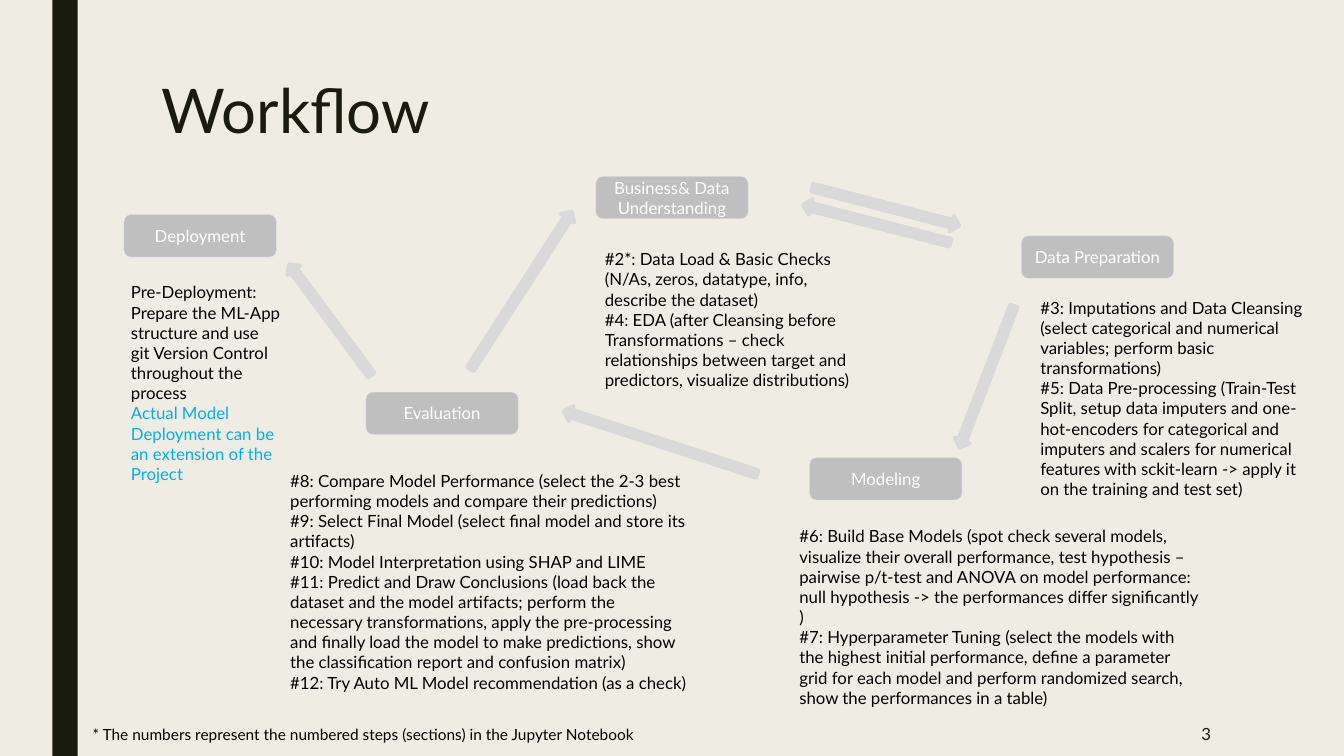
from pptx import Presentation
from pptx.dml.color import RGBColor
from pptx.enum.shapes import MSO_SHAPE
from pptx.enum.text import MSO_ANCHOR, PP_ALIGN
from pptx.util import Pt

EMU_PER_PX = 9144  # 100 px to the inch
FONT = "Lato"
CREAM = RGBColor(0xEF, 0xED, 0xE3)
DARK = RGBColor(0x19, 0x1B, 0x0E)
STAGE_GRAY = RGBColor(0xBF, 0xBF, 0xBF)
ARROW_GRAY = RGBColor(0xD9, 0xD9, 0xD9)
WHITE = RGBColor(0xFF, 0xFF, 0xFF)
BLACK = RGBColor(0, 0, 0)
BLUE = RGBColor(0x00, 0xB0, 0xF0)

TITLE = "Workflow"
STAGE_SIZE = (151, 42)
ARROW_HEIGHT = 16

# label, left, top
STAGES = [
    ("Business& Data Understanding", 591, 175),
    ("Evaluation", 363, 389),
    ("Deployment", 123, 213),
    ("Data Preparation", 1013, 234),
    ("Modeling", 803, 454),
]

# left, top, length, rotation in degrees
ARROWS = [
    (803, 197, 151, 14.5),   # understanding to preparation
    (794, 214, 151, 194.4),  # preparation back to understanding
    (903, 366, 151, 111),    # preparation to modeling
    (554, 431, 202, 198),    # modeling to evaluation
    (259, 309, 137, 233.4),  # evaluation to deployment
    (424, 280, 186, 302.8),  # evaluation to understanding
]

# (left, top, width, height), [(paragraph, colour)]
STEP_NOTES = [
    ((590, 242, 285, 151), [
        ("#2*: Data Load & Basic Checks (N/As, zeros, datatype, info, describe the dataset)", BLACK),
        ("#4: EDA (after Cleansing before Transformations – check relationships between "
         "target and predictors, visualize distributions)", BLACK),
    ]),
    ((1022, 290, 287, 232), [
        ("#3: Imputations and Data Cleansing (select categorical and numerical variables; "
         "perform basic transformations)", BLACK),
        ("#5: Data Pre-processing (Train-Test Split, setup data imputers and one-hot-encoders "
         "for categorical and imputers and scalers for numerical features with sckit-learn "
         "-> apply it on the training and test set)", BLACK),
    ]),
    ((783, 517, 416, 172), [
        ("#6: Build Base Models (spot check several models, visualize their overall "
         "performance, test hypothesis – pairwise p/t-test and ANOVA on model performance: "
         "null hypothesis -> the performances differ significantly )", BLACK),
        ("#7: Hyperparameter Tuning (select the models with the highest initial performance, "
         "define a parameter grid for each model and perform randomized search, show the "
         "performances in a table)", BLACK),
    ]),
    ((278, 462, 416, 232), [
        ("#8: Compare Model Performance (select the 2-3 best performing models and compare "
         "their predictions)", BLACK),
        ("#9: Select Final Model (select final model and store its artifacts)", BLACK),
        ("#10: Model Interpretation using SHAP and LIME", BLACK),
        ("#11: Predict and Draw Conclusions (load back the dataset and the model artifacts; "
         "perform the necessary transformations, apply the pre-processing and finally load "
         "the model to make predictions, show the classification report and confusion "
         "matrix)", BLACK),
        ("#12: Try Auto ML Model recommendation (as a check)", BLACK),
    ]),
    ((120, 275, 168, 212), [
        ("Pre-Deployment: Prepare the ML-App structure and use git Version Control "
         "throughout the process", BLACK),
        ("Actual Model Deployment can be an extension of the Project", BLUE),
    ]),
]
FOOTNOTE = "* The numbers represent the numbered steps (sections) in the Jupyter Notebook"
SLIDE_NUMBER = "3"


def px(*lengths):
    return [length * EMU_PER_PX for length in lengths]


def format_paragraph(paragraph, size, color, align=PP_ALIGN.LEFT):
    paragraph.alignment = align
    for run in paragraph.runs:
        run.font.name = FONT
        run.font.size = Pt(size)
        run.font.color.rgb = color


def add_filled_shape(slide, kind, box, fill, line=None, line_width=0):
    shape = slide.shapes.add_shape(kind, *px(*box))
    shape.shadow.inherit = False
    shape.fill.solid()
    shape.fill.fore_color.rgb = fill
    if line is None:
        shape.line.fill.background()
    else:
        shape.line.color.rgb = line
        shape.line.width = Pt(line_width)
    return shape


def add_text(slide, box, paragraphs, size=12, align=PP_ALIGN.LEFT, anchor=MSO_ANCHOR.TOP):
    text_frame = slide.shapes.add_textbox(*px(*box)).text_frame
    text_frame.word_wrap = True
    text_frame.vertical_anchor = anchor
    text_frame.text = "\n".join(text for text, _ in paragraphs)
    for paragraph, (_, color) in zip(text_frame.paragraphs, paragraphs):
        format_paragraph(paragraph, size, color, align)


def add_title(slide):
    title = slide.shapes.title
    title.left, title.top, title.width, title.height = px(150, 75, 1050, 79)
    title.text_frame.text = TITLE
    title.text_frame.vertical_anchor = MSO_ANCHOR.TOP
    paragraph = title.text_frame.paragraphs[0]
    paragraph.line_spacing = 0.89
    format_paragraph(paragraph, 44, DARK)


def add_stage(slide, label, left, top):
    stage = add_filled_shape(slide, MSO_SHAPE.ROUNDED_RECTANGLE, (left, top, *STAGE_SIZE),
                             STAGE_GRAY, ARROW_GRAY, 0.25)
    stage.text_frame.word_wrap = True
    stage.text_frame.vertical_anchor = MSO_ANCHOR.MIDDLE
    stage.text_frame.text = label
    format_paragraph(stage.text_frame.paragraphs[0], 12, WHITE, PP_ALIGN.CENTER)


def main():
    presentation = Presentation()
    presentation.slide_width, presentation.slide_height = px(1333, 750)
    slide = presentation.slides.add_slide(presentation.slide_layouts[5])
    slide.background.fill.solid()
    slide.background.fill.fore_color.rgb = CREAM

    add_filled_shape(slide, MSO_SHAPE.RECTANGLE, (52, 0, 25, 750), DARK)
    add_title(slide)
    for label, left, top in STAGES:
        add_stage(slide, label, left, top)
    for left, top, length, rotation in ARROWS:
        arrow = add_filled_shape(slide, MSO_SHAPE.RIGHT_ARROW,
                                 (left, top, length, ARROW_HEIGHT),
                                 ARROW_GRAY, ARROW_GRAY, 2.75)
        arrow.rotation = rotation
    for box, paragraphs in STEP_NOTES:
        add_text(slide, box, paragraphs)
    add_text(slide, (82, 714, 596, 29), [(FOOTNOTE, BLACK)], size=11)
    add_text(slide, (1036, 706, 175, 44), [(SLIDE_NUMBER, DARK)],
             align=PP_ALIGN.RIGHT, anchor=MSO_ANCHOR.MIDDLE)
    presentation.save("out.pptx")


if __name__ == "__main__":
    main()
